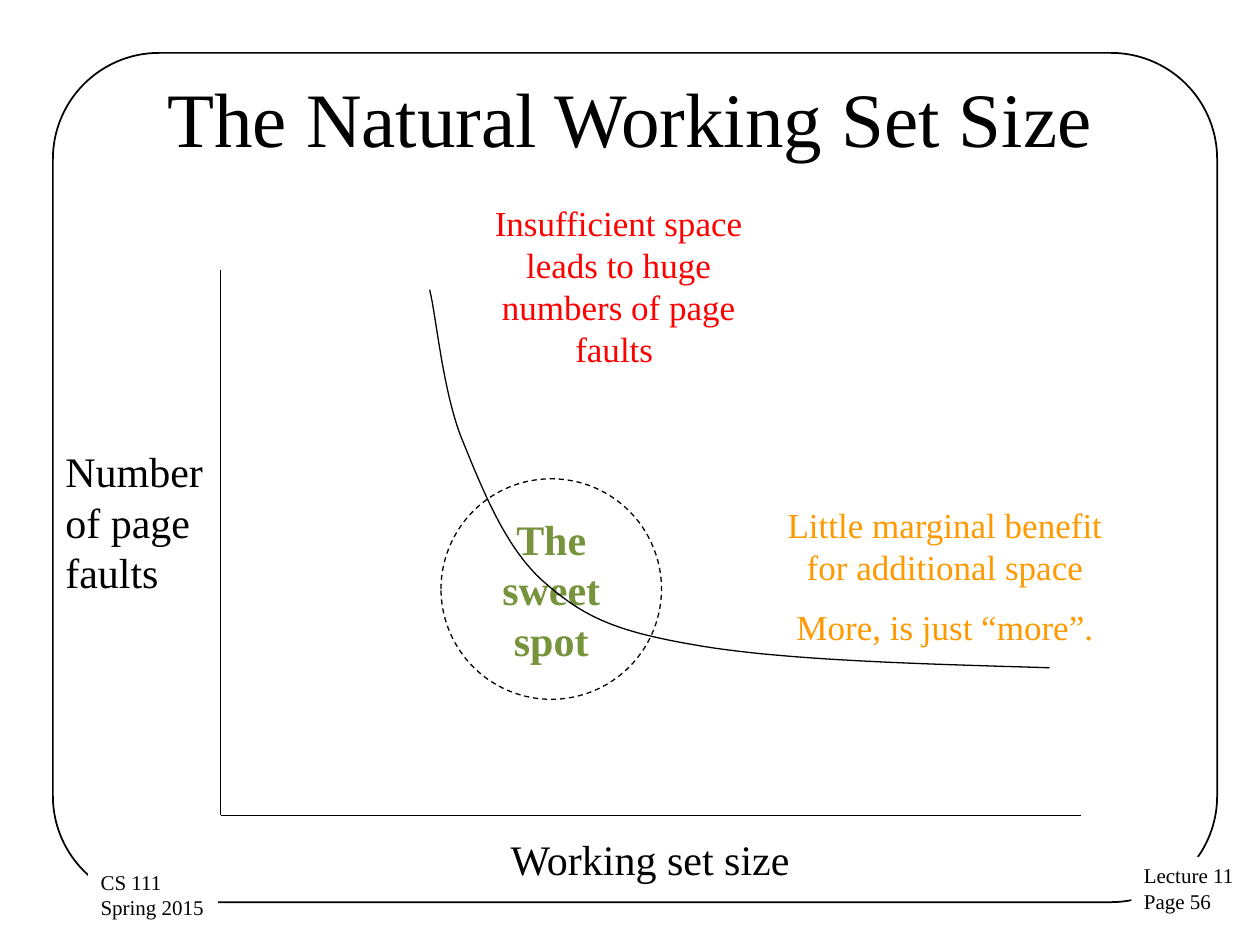
"""Builds a slide on the natural working set size of a process."""
from dataclasses import dataclass

from lxml import etree
from pptx import Presentation
from pptx.dml.color import RGBColor
from pptx.enum.dml import MSO_LINE
from pptx.enum.shapes import MSO_CONNECTOR, MSO_SHAPE
from pptx.enum.text import MSO_ANCHOR, MSO_AUTO_SIZE, PP_ALIGN
from pptx.oxml.ns import qn
from pptx.util import Inches, Pt

LEFT, CENTER = PP_ALIGN.LEFT, PP_ALIGN.CENTER
MIDDLE = MSO_ANCHOR.MIDDLE
FIT_SHAPE, FIT_NONE = MSO_AUTO_SIZE.SHAPE_TO_FIT_TEXT, MSO_AUTO_SIZE.NONE
STRAIGHT = MSO_CONNECTOR.STRAIGHT
ROUNDED, OVAL = MSO_SHAPE.ROUNDED_RECTANGLE, MSO_SHAPE.OVAL
DASH = MSO_LINE.DASH


@dataclass(frozen=True)
class Theme:
    font: str = "Times New Roman"
    ink: RGBColor = RGBColor(0, 0, 0)
    paper: RGBColor = RGBColor(255, 255, 255)
    red: RGBColor = RGBColor(0xFF, 0, 0)
    orange: RGBColor = RGBColor(0xFF, 0x99, 0)
    green: RGBColor = RGBColor(0x77, 0x93, 0x3C)
    title: int = 44
    label: int = 24
    note: int = 20
    footer: int = 12


theme = Theme()


def write(shape, *lines, size, color=theme.ink, align=CENTER, bold=False,
          wrap=True, fit=FIT_SHAPE, anchor=None, gap=0):
    """Fill a shape with one formatted paragraph per line."""
    frame = shape.text_frame
    frame.text = "\n".join(lines)
    frame.word_wrap = wrap
    frame.auto_size = fit
    if anchor is not None:
        frame.vertical_anchor = anchor
    for index, paragraph in enumerate(frame.paragraphs):
        paragraph.alignment = align
        paragraph.space_before = Pt(gap if index else 0)
        font = paragraph.runs[0].font
        font.name, font.size, font.bold = theme.font, Pt(size), bold
        font.color.rgb = color


def outline(shape, width=0.75):
    """Give a shape a plain black line without fill or shadow."""
    shape.shadow.inherit = False
    shape.fill.background()
    shape.line.color.rgb = theme.ink
    shape.line.width = Pt(width)


presentation = Presentation()
presentation.slide_width, presentation.slide_height = Inches(10), Inches(7.5)
slide = presentation.slides.add_slide(presentation.slide_layouts[5])
shapes = slide.shapes

frame_shape = shapes.add_shape(
    ROUNDED, Inches(0.42), Inches(0.42), Inches(9.24), Inches(6.74))
frame_shape.adjustments[0] = 0.125
outline(frame_shape, width=1)

footers = [
    (8.98, 6.8, 0.92, ("Lecture 11", "Page 56")),
    (0.7, 6.85, 1.03, ("CS 111", "Spring 2015 ")),
]
for left, top, width, lines in footers:
    footer = shapes.add_textbox(
        Inches(left), Inches(top), Inches(width), Inches(0.51))
    footer.fill.solid()
    footer.fill.fore_color.rgb = theme.paper
    write(footer, *lines, size=theme.footer, align=LEFT, wrap=False)

title = shapes.title
title.left, title.top = Inches(0.5), Inches(0.3)
title.width, title.height = Inches(9), Inches(1.25)
write(title, "The Natural Working Set Size", size=theme.title,
      fit=FIT_NONE, anchor=MIDDLE)

origin = (1.75, 6.47)
for end in [(1.75, 2.14), (8.58, 6.47)]:
    axis = shapes.add_connector(
        STRAIGHT, *[Inches(value) for value in origin + end])
    axis.line.color.rgb = theme.ink
    axis.line.width = Pt(0.75)
    etree.SubElement(axis.element.spPr, qn("a:effectLst"))

sweet_spot = shapes.add_shape(
    OVAL, Inches(3.5), Inches(3.8), Inches(1.75), Inches(1.75))
outline(sweet_spot)
sweet_spot.line.dash_style = DASH
write(sweet_spot, "The", "sweet", "spot", size=theme.label, color=theme.green,
      bold=True, wrap=False, fit=FIT_NONE, anchor=MIDDLE)

labels = [
    (0.42, 3.49, 1.51, 1.31, ["Number of page faults"],
     dict(size=theme.label, align=LEFT)),
    (3.66, 6.57, 3, 0.5, ["Working set size"], dict(size=theme.label)),
    (3.66, 1.55, 2.5, 1.45,
     ["Insufficient space leads to huge numbers of page faults "],
     dict(size=theme.note, color=theme.red)),
    (6.12, 3.95, 2.76, 1.28,
     ["Little marginal benefit for additional space",
      "More, is just “more”."],
     dict(size=theme.note, color=theme.orange, gap=10)),
]
for left, top, width, height, lines, style in labels:
    label = shapes.add_textbox(
        Inches(left), Inches(top), Inches(width), Inches(height))
    write(label, *lines, **style)

controls = [
    (8.33, 5.3), (7.29, 5.27), (6.25, 5.24), (5.58, 5.13),
    (4.91, 5.02), (4.65, 4.91), (4.33, 4.63),
    (4.01, 4.36), (3.82, 3.86), (3.66, 3.47),
    (3.51, 3.08), (3.46, 2.49), (3.41, 2.3),
]
steps = 24
curve_points = [tuple(Inches(value) for value in controls[0])]
for start in range(0, len(controls) - 1, 3):
    segment = controls[start:start + 4]
    for step in range(1, steps + 1):
        t = step / steps
        weights = ((1 - t) ** 3, 3 * t * (1 - t) ** 2,
                   3 * t ** 2 * (1 - t), t ** 3)
        curve_points.append(tuple(
            Inches(sum(weight * value
                       for weight, value in zip(weights, values)))
            for values in zip(*segment)))
builder = shapes.build_freeform(*curve_points[0])
builder.add_line_segments(curve_points[1:], close=False)
outline(builder.convert_to_shape())

presentation.save("out.pptx")
